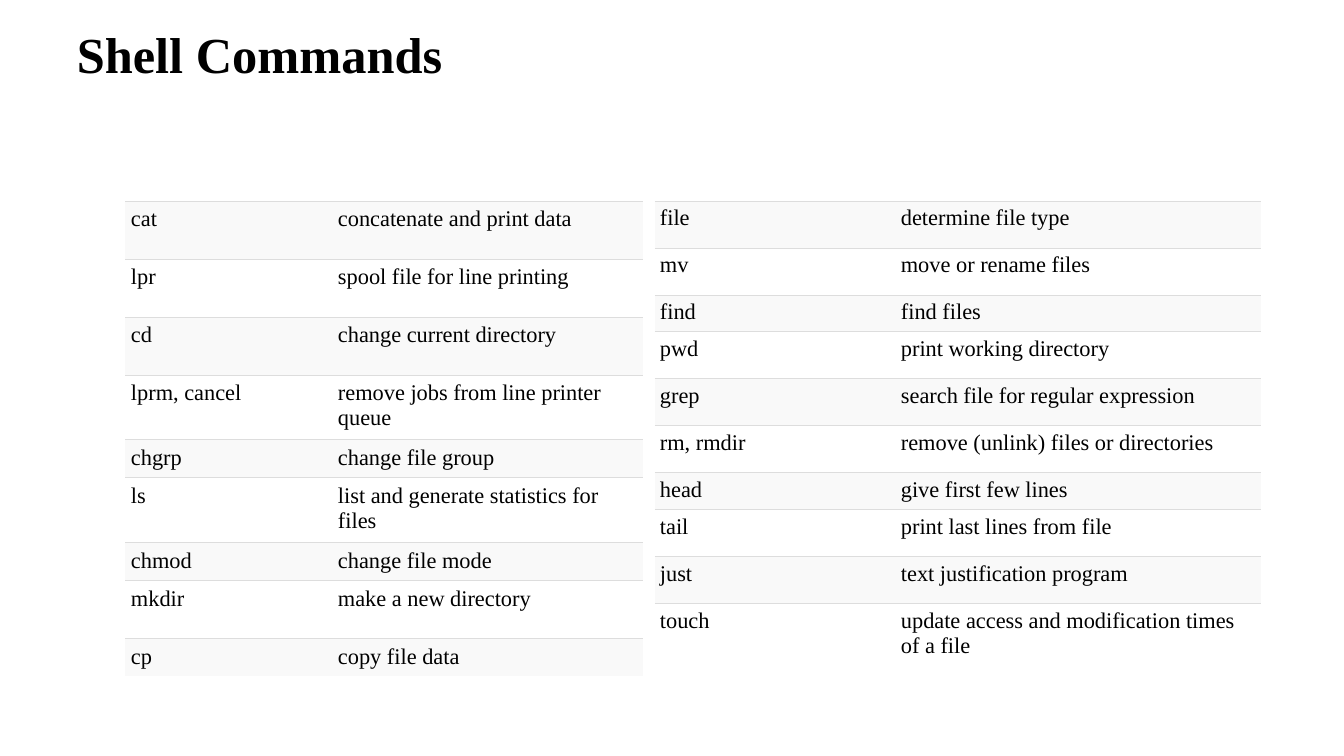
from lxml import etree
from pptx import Presentation
from pptx.dml.color import RGBColor
from pptx.enum.text import MSO_ANCHOR
from pptx.oxml.ns import qn
from pptx.util import Pt

MIDDLE, TOP = MSO_ANCHOR.MIDDLE, MSO_ANCHOR.TOP
SCALE = 914400 / 100.8
FONT = "Times New Roman"
COLORS = {"text": "000000", "band": "F9F9F9", "plain": "FFFFFF", "rule": "DDDDDD"}


def px(length):
    """Turn pixels into EMU."""
    return round(length * SCALE)


def write(frame, text, size=16, bold=False, anchor=TOP):
    """Put formatted text into a text frame."""
    frame.word_wrap = True
    frame.vertical_anchor = anchor
    run = frame.paragraphs[0].add_run()
    run.text = text
    run.font.name, run.font.size, run.font.bold = FONT, Pt(size), bold
    run.font.color.rgb = RGBColor.from_string(COLORS["text"])


def border(cell, sides):
    """Draw a thin rule on the given sides of a cell and clear the others."""
    props = cell._tc.get_or_add_tcPr()
    for index, side in enumerate("LRTB"):
        line = etree.Element(qn(f"a:ln{side}"), w=str(Pt(0.6)))
        if side in sides:
            fill = etree.SubElement(line, qn("a:solidFill"))
            etree.SubElement(fill, qn("a:srgbClr"), val=COLORS["rule"])
        else:
            etree.SubElement(line, qn("a:noFill"))
        props.insert(index, line)


class Board:
    """Holds the current slide and draws its elements."""

    def __init__(self, deck):
        """Add a blank slide to the deck."""
        self.slide = deck.slides.add_slide(deck.slide_layouts[6])

    def title(self, text, box):
        """Add the heading."""
        shape = self.slide.shapes.add_textbox(*map(px, box))
        write(shape.text_frame, text, size=36, bold=True, anchor=MIDDLE)

    def table(self, left, top, widths, pad, rows):
        """Add a banded table from rows of name, purpose and height."""
        size = sum(widths), sum(row[2] for row in rows)
        frame = self.slide.shapes.add_table(
            len(rows), len(widths), *map(px, (left, top, *size)))
        table = frame.table
        table.first_row = table.horz_banding = False
        for column, width in zip(table.columns, widths):
            column.width = px(width)
        for index, (name, purpose, height) in enumerate(rows):
            table.rows[index].height = px(height)
            tone = COLORS["plain" if index % 2 else "band"]
            sides = "T" if index == len(rows) - 1 else "TB"
            for cell, text in zip(table.rows[index].cells, (name, purpose)):
                cell.margin_left = cell.margin_right = cell.margin_top = px(pad)
                cell.margin_bottom = px(5)
                cell.fill.solid()
                cell.fill.fore_color.rgb = RGBColor.from_string(tone)
                border(cell, sides)
                write(cell.text_frame, text)


LEFT = [
    ("cat", "concatenate and print data", 58),
    ("lpr", "spool file for line printing", 58),
    ("cd", "change current directory", 58),
    ("lprm, cancel", "remove jobs from line printer queue", 61),
    ("chgrp", "change file group", 36),
    ("ls", "list and generate statistics for files", 61),
    ("chmod", "change file mode", 37),
    ("mkdir", "make a new directory", 58),
    ("cp", "copy file data", 36),
]
RIGHT = [
    ("file", "determine file type", 47),
    ("mv", "move or rename files", 47),
    ("find", "find files", 35),
    ("pwd", "print working directory", 47),
    ("grep", "search file for regular expression", 47),
    ("rm, rmdir", "remove (unlink) files or directories", 47),
    ("head", "give first few lines", 36),
    ("tail", "print last lines from file", 47),
    ("just", "text justification program", 47),
    ("touch", "update access and modification times of a file", 66),
]

deck = Presentation()
deck.slide_width, deck.slide_height = px(1344), px(756)
board = Board(deck)
board.title("Shell Commands", (67, 21, 1210, 65))
board.table(125, 201, (207, 311), 6, LEFT)
board.table(655, 201, (241, 365), 5, RIGHT)
deck.save("out.pptx")
